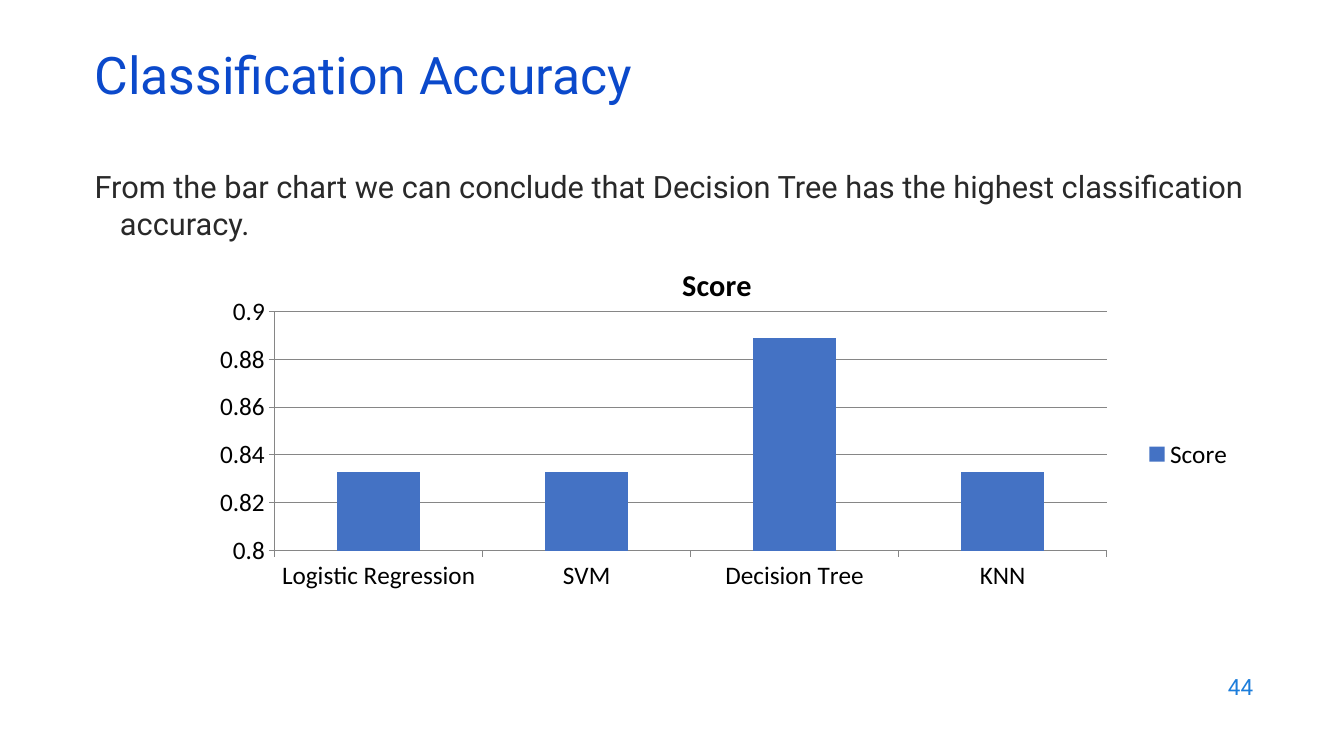
from lxml import etree
from pptx import Presentation
from pptx.chart.data import CategoryChartData
from pptx.dml.color import RGBColor
from pptx.enum.chart import XL_CHART_TYPE, XL_LEGEND_POSITION, XL_TICK_MARK
from pptx.enum.text import MSO_ANCHOR, MSO_AUTO_SIZE, PP_ALIGN
from pptx.oxml.ns import qn
from pptx.util import Cm, Pt

COLUMNS = XL_CHART_TYPE.COLUMN_CLUSTERED
LEGEND_RIGHT = XL_LEGEND_POSITION.RIGHT
TICK_OUTSIDE = XL_TICK_MARK.OUTSIDE
TOP, MIDDLE = MSO_ANCHOR.TOP, MSO_ANCHOR.MIDDLE
LEFT, RIGHT = PP_ALIGN.LEFT, PP_ALIGN.RIGHT
NO_FIT = MSO_AUTO_SIZE.NONE

HEADING = "Classification Accuracy"
CONCLUSION = ("From the bar chart we can conclude that Decision Tree "
              "has the highest classification accuracy.")
PAGE = "44"
MEASURE = "Score"
SCORES = {"Logistic Regression": 0.833, "SVM": 0.833,
          "Decision Tree": 0.889, "KNN": 0.833}
PLOT_AREA = {"x": 0.08, "y": 0.16, "w": 0.79, "h": 0.57}
COLORS = {"heading": "0B49CB", "body": "292929", "page": "1C7DDB",
          "bar": "4472C4", "chart_text": "000000", "line": "868686"}
TEXT_FONT, CHART_FONT = "Roboto", "Calibri"


def color(name):
    return RGBColor.from_string(COLORS[name])


def style(font, name, size, tint, bold=False):
    font.name, font.size, font.bold = name, Pt(size), bold
    font.color.rgb = color(tint)


def write(holder, box, text, size, tint, align, anchor, spacing=1.0):
    holder.left, holder.top, holder.width, holder.height = map(Cm, box)
    frame = holder.text_frame
    frame.word_wrap, frame.auto_size = True, NO_FIT
    frame.vertical_anchor = anchor
    paragraph = frame.paragraphs[0]
    paragraph.alignment, paragraph.line_spacing = align, spacing
    paragraph.space_before = Pt(0)
    run = paragraph.add_run()
    run.text = text
    style(run.font, TEXT_FONT, size, tint)
    return paragraph


def place_plot(chart):
    plot_area = chart.plots[0]._element.getparent()
    for old in plot_area.findall(qn("c:layout")):
        plot_area.remove(old)
    layout = etree.Element(qn("c:layout"))
    manual = etree.SubElement(layout, qn("c:manualLayout"))
    settings = {"layoutTarget": "inner", "xMode": "edge", "yMode": "edge", **PLOT_AREA}
    for tag, value in settings.items():
        etree.SubElement(manual, qn(f"c:{tag}")).set("val", str(value))
    plot_area.insert(0, layout)


def add_score_chart(slide):
    data = CategoryChartData()
    data.categories = list(SCORES)
    data.add_series(MEASURE, list(SCORES.values()))
    chart = slide.shapes.add_chart(
        COLUMNS, Cm(4.8), Cm(6.15), Cm(26.54), Cm(10.59), data).chart
    style(chart.font, CHART_FONT, 18, "chart_text")
    chart.has_title = True
    title_run = chart.chart_title.text_frame.paragraphs[0].add_run()
    title_run.text = MEASURE
    style(title_run.font, CHART_FONT, 21.6, "chart_text", bold=True)
    chart.has_legend = True
    chart.legend.position = LEGEND_RIGHT
    chart.legend.include_in_layout = False

    bars = chart.plots[0]
    bars.gap_width, bars.vary_by_categories = 150, False
    fill = bars.series[0].format.fill
    fill.solid()
    fill.fore_color.rgb = color("bar")

    scale = chart.value_axis
    scale.minimum_scale, scale.maximum_scale, scale.major_unit = 0.8, 0.9, 0.02
    scale.has_major_gridlines = True
    for part in (scale, chart.category_axis, scale.major_gridlines):
        part.format.line.color.rgb = color("line")
        part.format.line.width = Pt(0.75)
    for axis in (scale, chart.category_axis):
        axis.major_tick_mark = TICK_OUTSIDE
    place_plot(chart)


def main():
    deck = Presentation()
    deck.slide_width, deck.slide_height = Cm(33.87), Cm(19.05)
    slide = deck.slides.add_slide(deck.slide_layouts[1])
    heading, body = slide.placeholders

    write(heading, (2.13, 1.24, 29.21, 1.52), HEADING, 37, "heading", LEFT, MIDDLE, 0.8)
    conclusion = write(body, (2.13, 4.11, 30.89, 13.74), CONCLUSION, 22, "body", LEFT, TOP)
    indents = conclusion._p.get_or_add_pPr()
    indents.set("marL", str(Cm(0.64)))
    indents.set("indent", str(Cm(-0.64)))
    etree.SubElement(indents, qn("a:buNone"))

    add_score_chart(slide)
    page = slide.shapes.add_textbox(0, 0, 0, 0)
    write(page, (24.21, 16.74, 7.62, 1.12), PAGE, 16, "page", RIGHT, MIDDLE)
    deck.save("out.pptx")


if __name__ == "__main__":
    main()
